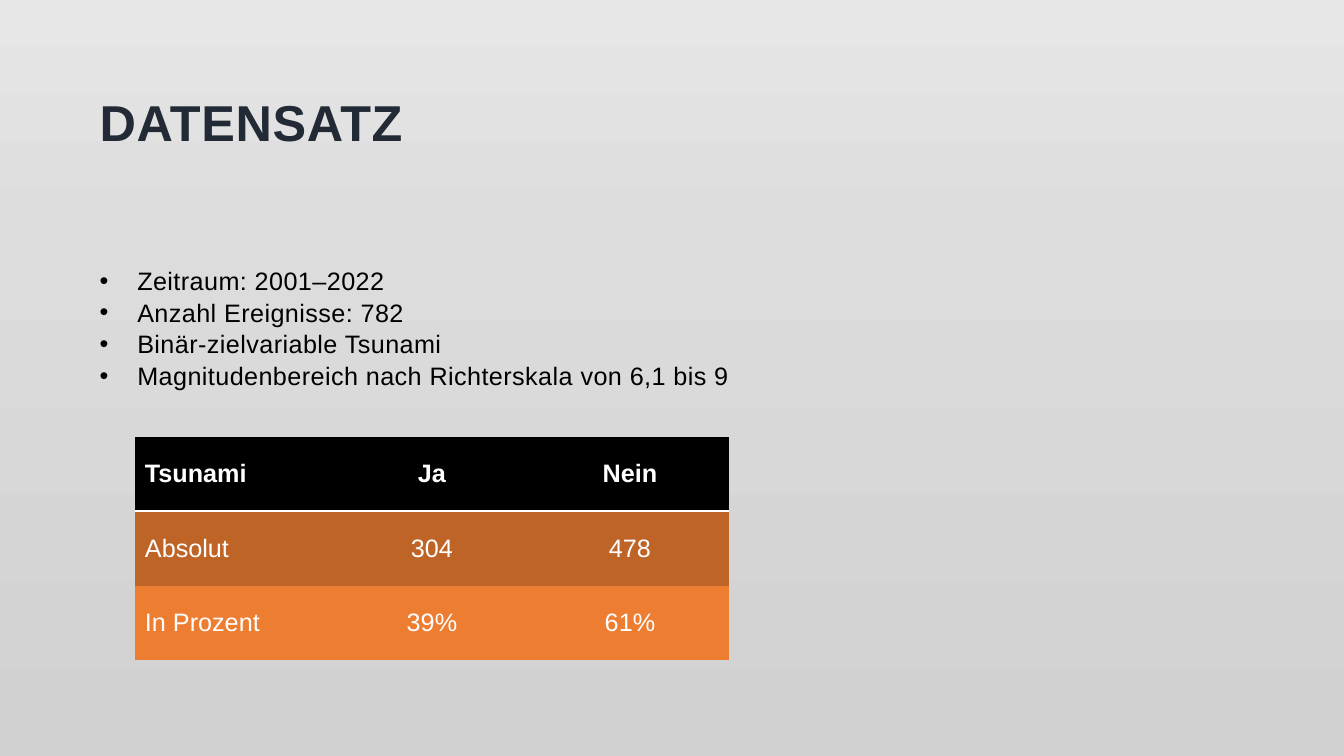
from copy import deepcopy
from lxml import etree
from pptx import Presentation
from pptx import util as u
from pptx.dml.color import RGBColor
from pptx.enum import text
from pptx.oxml.ns import qn


def color(code):
    return RGBColor.from_string(code)


def write(para, words, size, code, bold=False, gap=0):
    run = para.add_run()
    run.text = words
    font = run.font
    font.name, font.size, font.bold = "Arial", u.Pt(size), bold
    font.color.rgb = color(code)
    if gap:
        run._r.get_or_add_rPr().set("spc", str(gap))


deck = Presentation()
deck.slide_width, deck.slide_height = u.Cm(33.87), u.Cm(19.05)
slide = deck.slides.add_slide(deck.slide_layouts[6])

# Background: grey gradient from top to bottom
fill = slide.background.fill
fill.gradient()
fill.gradient_angle = 270
first = fill.gradient_stops[0]._gs
first.addnext(deepcopy(first))
shades = [(0, "E8E7E7"), (0.31, "DDDCDC"), (1, "D2D1D1")]
for stop, (place, code) in zip(fill.gradient_stops, shades):
    stop.position = place
    stop.color.rgb = color(code)

# Title
box = slide.shapes.add_textbox(u.Cm(2.26), u.Cm(0.76), u.Cm(29.36), u.Cm(3.18))
frame = box.text_frame
frame.word_wrap = True
frame.vertical_anchor = text.MSO_ANCHOR.BOTTOM
write(frame.paragraphs[0], "DATENSATZ", 36, "222A35", True, 50)

# Bullet list
facts = [
    "Zeitraum: 2001–2022",
    "Anzahl Ereignisse: 782",
    "Binär-zielvariable Tsunami",
    "Magnitudenbereich nach Richterskala von 6,1 bis 9",
]
box = slide.shapes.add_textbox(u.Cm(2.26), u.Cm(6.58), u.Cm(17.65), u.Cm(3.33))
frame = box.text_frame
frame.word_wrap = True
frame.vertical_anchor = text.MSO_ANCHOR.MIDDLE
for i, fact in enumerate(facts):
    para = frame.add_paragraph() if i else frame.paragraphs[0]
    props = para._p.get_or_add_pPr()
    props.set("marL", str(u.Cm(0.95)))
    props.set("indent", str(-u.Cm(0.95)))
    etree.SubElement(props, qn("a:buFont")).set("typeface", "Arial")
    etree.SubElement(props, qn("a:buChar")).set("char", "•")
    para.line_spacing = 1.05
    write(para, fact, 18, "000000", gap=30)

# Table
rows = [
    ("000000", ["Tsunami", "Ja", "Nein"]),
    ("BE6427", ["Absolut", "304", "478"]),
    ("ED7D31", ["In Prozent", "39%", "61%"]),
]
table = slide.shapes.add_table(
    3, 3, u.Cm(3.4), u.Cm(11), u.Cm(14.97), u.Cm(5.64)).table
for r, (shade, words) in enumerate(rows):
    table.rows[r].height = u.Cm(1.88)
    for c, word in enumerate(words):
        cell = table.cell(r, c)
        cell.vertical_anchor = text.MSO_ANCHOR.MIDDLE
        para = cell.text_frame.paragraphs[0]
        para.alignment = text.PP_ALIGN.CENTER if c else text.PP_ALIGN.LEFT
        write(para, word, 18, "FFFFFF", r == 0)
        # Borders: only a white rule under the header
        props = cell._tc.get_or_add_tcPr()
        for side in ("lnL", "lnR", "lnT", "lnB"):
            line = etree.SubElement(props, qn("a:" + side))
            if (r, side) in ((0, "lnB"), (1, "lnT")):
                line.set("w", str(u.Pt(2)))
                solid = etree.SubElement(line, qn("a:solidFill"))
                etree.SubElement(solid, qn("a:srgbClr")).set("val", "FFFFFF")
            else:
                etree.SubElement(line, qn("a:noFill"))
        cell.fill.solid()
        cell.fill.fore_color.rgb = color(shade)

deck.save("out.pptx")
